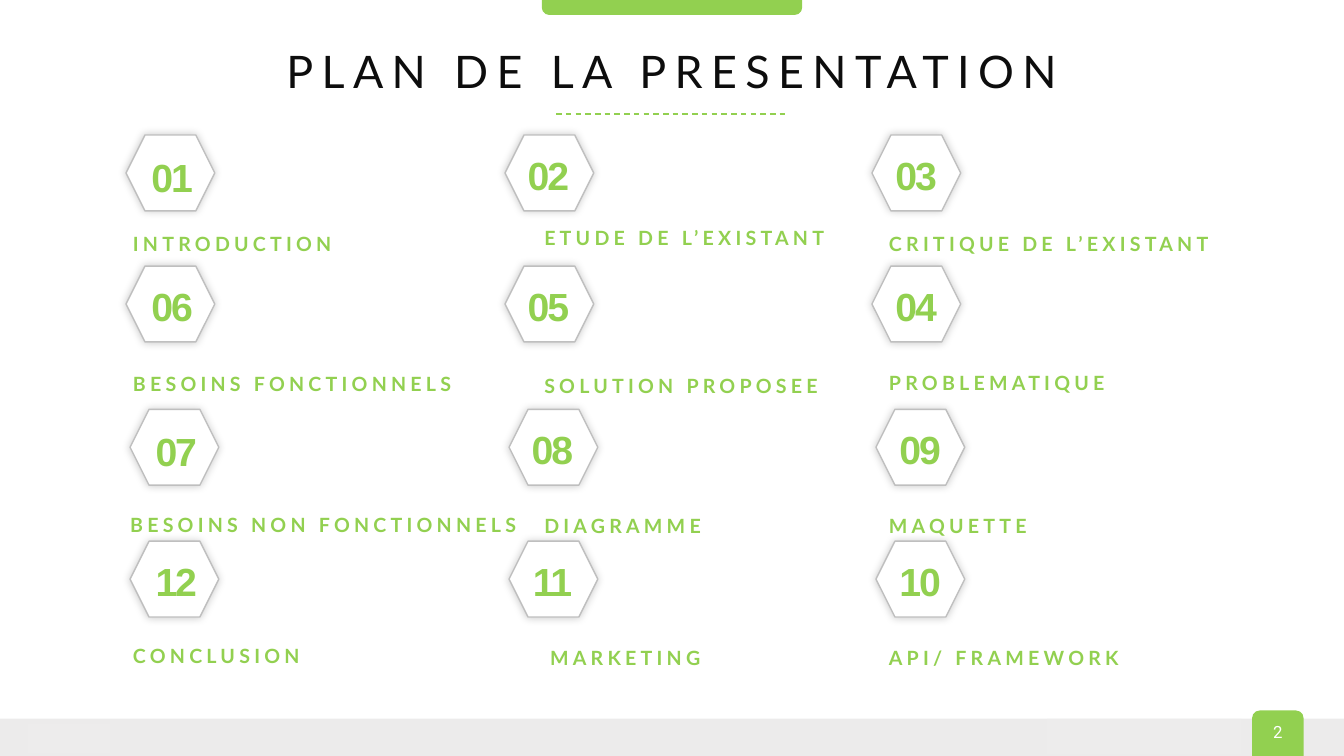
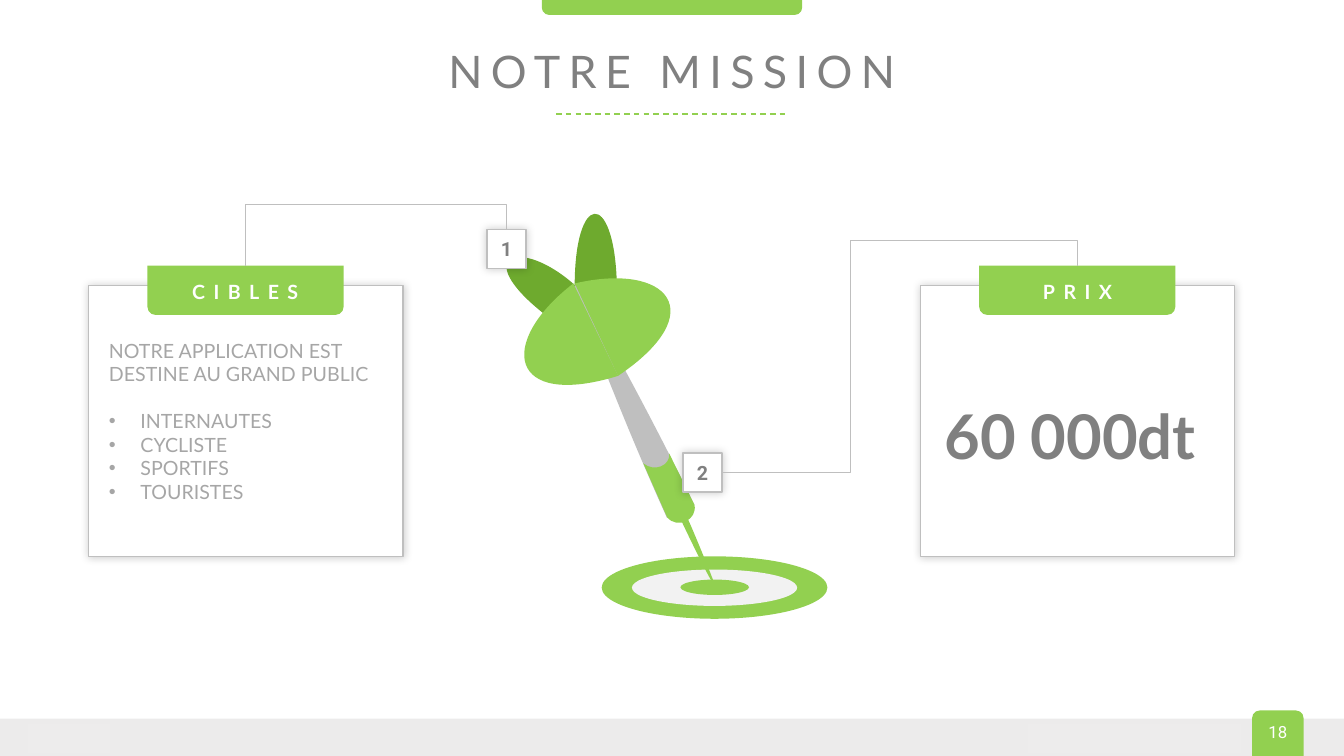
"""Build the plan slide and the mission slide."""
from math import cos, radians, sin

from lxml import etree
from pptx import Presentation
from pptx.dml.color import RGBColor
from pptx.enum.dml import MSO_LINE
from pptx.enum.shapes import MSO_CONNECTOR, MSO_SHAPE
from pptx.enum.text import MSO_ANCHOR, PP_ALIGN
from pptx.oxml.ns import qn
from pptx.util import Pt

GREEN = RGBColor(0x92, 0xD0, 0x50)
LEAF = RGBColor(0x6E, 0xAA, 0x2E)
WHITE = RGBColor(0xFF, 0xFF, 0xFF)
INK = RGBColor(0x0D, 0x0D, 0x0D)
GRAY = RGBColor(0x80, 0x80, 0x80)
SOFT = RGBColor(0xA6, 0xA6, 0xA6)
EDGE = RGBColor(0xBF, 0xBF, 0xBF)
PALE = RGBColor(0xF2, 0xF2, 0xF2)
BAND = RGBColor(0xE7, 0xE6, 0xE6)
PATCH = RGBColor(0xED, 0xEC, 0xEC)

RECT = MSO_SHAPE.RECTANGLE
OVAL = MSO_SHAPE.OVAL
HEX = MSO_SHAPE.HEXAGON
TAB = MSO_SHAPE.ROUND_2_SAME_RECTANGLE
ELBOW = MSO_CONNECTOR.ELBOW
LINE = MSO_CONNECTOR.STRAIGHT
DASH = MSO_LINE.DASH
MIDDLE = MSO_ANCHOR.MIDDLE
TOP = MSO_ANCHOR.TOP
LEFT = PP_ALIGN.LEFT
CENTER = PP_ALIGN.CENTER

TILT = 62.1
ROWS = (96.5, 190.1, 292.4, 386.6)
COLS = ((90, 5), (360.7, 3), (622.8, 3.6))
PLAN = (
    (("01", "INTRODUCTION", 95, 170.2, 145), ("02", "ETUDE DE L’EXISTANT", 388.8, 170, 213),
     ("03", "CRITIQUE DE L’EXISTANT", 635, 169.6, 242.5)),
    (("06", "BESOINS FONCTIONNELS", 95, 269.6, 232), ("05", "SOLUTION PROPOSEE", 388.8, 271, 199.5),
     ("04", "PROBLEMATIQUE", 635, 269, 159)),
    (("07", "BESOINS NON FONCTIONNELS", 93, 370.4, 280), ("08", "DIAGRAMME", 388.8, 371.2, 116),
     ("09", "MAQUETTE", 635, 371.2, 102)),
    (("12", "CONCLUSION", 95, 464, 123), ("11", "MARKETING", 393, 465.5, 111),
     ("10", "API/ FRAMEWORK", 635, 465.5, 168.5)),
)
TARGET = ((429.8, 397.4, 161.2, 44.6, GREEN), (451.4, 406.8, 118, 26, PALE),
          (486, 414, 49, 11, GREEN))
DART = (
    (LEAF, (411, 204), ((371.5, 168.5, 335, 182, 389, 224.5), (411, 204))),
    (LEAF, (410.5, 204.5), ((410.5, 137, 438, 135.5, 440.5, 200), (410.5, 204.5))),
    (GREEN, (491, 370), ((486.5, 361.5, 483, 355, 481.5, 355.5),
                         (481, 356.5, 483, 363.5, 486.5, 371.5),
                         (489.5, 378, 507.5, 415.5, 510, 417.5),
                         (510, 417.5, 510, 417.5, 510.5, 417.5),
                         (510, 415, 494, 376, 491, 370))),
    (EDGE, (496, 360.5), ((470, 307.5, 442, 255, 412.5, 203),
                          (409, 205, 409, 205, 409, 205),
                          (430, 260.5, 452, 316, 476.5, 370), (496, 360.5))),
    (GREEN, (496, 360.5), ((478, 324, 478, 324, 478, 324),
                           (479, 332.5, 467.5, 337.5, 459.5, 331),
                           (476.5, 369.5, 476.5, 369.5, 476.5, 369.5),
                           (484, 378.5, 498.5, 371, 496, 360.5))),
    (GREEN, (441.5, 268.5), ((410.5, 202.5, 410.5, 202.5, 410.5, 202.5),
                             (477, 187, 509, 223, 441.5, 268.5))),
    (GREEN, (441.5, 268.5), ((409.5, 202.5, 409.5, 202.5, 409.5, 202.5),
                             (354.5, 245, 363.5, 292.5, 441.5, 268.5))),
)
GOALS = ("INTERNAUTES", "CYCLISTE", "SPORTIFS", "TOURISTES")


def paint(shape, fill, edge=None):
    """Set fill and line, with no shadow."""
    shape.shadow.inherit = False
    shape.fill.solid()
    shape.fill.fore_color.rgb = fill
    if edge is None:
        shape.line.fill.background()
    else:
        shape.line.color.rgb = edge
        shape.line.width = Pt(1)
    return shape


def block(slide, kind, x, y, w, h, fill, edge=None):
    """Add a filled preset shape."""
    shape = slide.shapes.add_shape(kind, Pt(x), Pt(y), Pt(w), Pt(h))
    return paint(shape, fill, edge)


def card(slide, kind, x, y, w, h):
    """Add a white shape with a gray edge and a soft glow."""
    shape = block(slide, kind, x, y, w, h, WHITE, EDGE)
    effect = shape.element.spPr.find(qn("a:effectLst"))
    glow = etree.SubElement(effect, qn("a:outerShdw"), blurRad=str(Pt(6)),
                            dist="0", dir="18900000", rotWithShape="0")
    alpha(etree.SubElement(glow, qn("a:srgbClr"), val="000000"), 20)
    return shape


def alpha(color, part):
    """Make a colour partly clear."""
    etree.SubElement(color, qn("a:alpha"), val=str(part * 1000))


def style(para, font, size, color, bold=False, gap=0, align=CENTER):
    """Format a paragraph and its runs."""
    para.alignment = align
    for run in para.runs:
        run.font.name = font
        run.font.size = Pt(size)
        run.font.bold = bold
        run.font.color.rgb = color
        if gap:
            run._r.get_or_add_rPr().set("spc", str(int(gap * 100)))


def write(shape, text, *look, anchor=MIDDLE, wrap=True, space=1, **more):
    """Put formatted text with no margins in a shape."""
    frame = shape.text_frame
    frame.margin_left = frame.margin_right = 0
    frame.margin_top = frame.margin_bottom = 0
    frame.word_wrap = wrap
    frame.vertical_anchor = anchor
    frame.text = text
    para = frame.paragraphs[0]
    if space != 1:
        para.line_spacing = space
    style(para, *look, **more)
    return frame


def label(slide, x, y, w, h, text, *look, **more):
    """Add a text box."""
    box = slide.shapes.add_textbox(Pt(x), Pt(y), Pt(w), Pt(h))
    return write(box, text, *look, **more)


def stroke(line, color, width):
    """Format a connector and drop its shadow."""
    line.line.color.rgb = color
    line.line.width = Pt(width)
    etree.SubElement(line.element.spPr, qn("a:effectLst"))


def start(deck, title, color, page, patch):
    """Add a slide with title, bands and page mark."""
    slide = deck.slides.add_slide(deck.slide_layouts[5])
    band = block(slide, RECT, 0, 513.4, 960, 26.6, BAND)
    alpha(band.element.spPr.find(qn("a:solidFill"))[0], 77)
    block(slide, RECT, 20, 517, 59, 21, PATCH)
    block(slide, RECT, *patch, PATCH)
    block(slide, TAB, 894.4, 507.5, 36.8, 32.5, GREEN)
    label(slide, 895, 508.5, 35.5, 29, page, "Roboto", 12, WHITE)
    strip = block(slide, TAB, 387, 0, 186, 10.7, GREEN)
    strip.adjustments[0], strip.adjustments[1] = 0, 0.5
    rule = slide.shapes.add_connector(LINE, Pt(397.2), Pt(81.4), Pt(562.2), Pt(81.4))
    stroke(rule, GREEN, 1)
    rule.line.dash_style = DASH
    head = slide.shapes.title
    head.left, head.top, head.width, head.height = Pt(139), Pt(28.5), Pt(682), Pt(44.5)
    write(head, title, "Lato", 32, color, gap=6)
    return slide


def spin(spot, angle):
    """Turn a point about the corner of the slide."""
    (x, y), a = spot, radians(angle)
    return x * cos(a) - y * sin(a), x * sin(a) + y * cos(a)


def trace(slide, color, first, segs):
    """Add a tilted closed outline of lines and curves."""
    spots = [first]
    for seg in segs:
        spots += zip(seg[::2], seg[1::2])
    flat = [spin(spot, -TILT) for spot in spots]
    pen = slide.shapes.build_freeform(Pt(flat[0][0]), Pt(flat[0][1]))
    pen.add_line_segments([(Pt(x), Pt(y)) for x, y in flat[1:]], close=True)
    shape = paint(pen.convert_to_shape(), color)
    steps = iter(list(shape.element.iter(qn("a:lnTo"))))
    for seg in segs:
        step = next(steps)
        if len(seg) == 6:
            step.tag = qn("a:cubicBezTo")
            for _ in range(2):
                more = next(steps)
                step.append(more[0])
                more.getparent().remove(more)
    mid = [(min(axis) + max(axis)) / 2 for axis in zip(*flat)]
    x, y = spin(mid, TILT)
    shape.left = Pt(x) - shape.width // 2
    shape.top = Pt(y) - shape.height // 2
    shape.rotation = TILT


def panel(slide, x, title, inset, width):
    """Add a card with a green tag and return the tag."""
    card(slide, RECT, x, 203.8, 224.6, 193.6)
    tag = block(slide, TAB, x + 42, 189.8, 140.2, 35.2, GREEN)
    tag.adjustments[0], tag.adjustments[1] = 0, 0.17
    label(slide, x + inset, 199.5, width, 17, title, "Lato", 14, WHITE, True,
          gap=6, wrap=False)
    return tag


def mark(slide, x, y, text):
    """Add a small numbered square."""
    box = card(slide, RECT, x, y, 28, 28)
    write(box, text, "Roboto", 14, GRAY, True)
    return box


def link(slide, box, side, tag, kind, frame, turn, flip, bends):
    """Join a numbered square to the top of a tag."""
    line = slide.shapes.add_connector(ELBOW, 0, 0, Pt(1), Pt(1))
    line.begin_connect(box, side)
    line.end_connect(tag, 0)
    line.left, line.top, line.width, line.height = map(Pt, frame)
    line.rotation = turn
    form = line.element.spPr.find(qn("a:xfrm"))
    form.set("flipH", flip[0])
    form.set("flipV", flip[1])
    geom = line.element.spPr.find(qn("a:prstGeom"))
    geom.set("prst", kind)
    guides = geom.find(qn("a:avLst"))
    if guides is None:
        guides = etree.SubElement(geom, qn("a:avLst"))
    for name, bend in bends.items():
        etree.SubElement(guides, qn("a:gd"), name=name, fmla=f"val {bend}")
    stroke(line, EDGE, 0.5)


def bullet(frame, text, space):
    """Add a bulleted paragraph."""
    para = frame.add_paragraph()
    para.text = text
    para.space_before = Pt(space)
    props = para._p.get_or_add_pPr()
    props.set("marL", str(Pt(22.5)))
    props.set("indent", str(-Pt(22.5)))
    etree.SubElement(props, qn("a:buFont"), typeface="Arial")
    etree.SubElement(props, qn("a:buChar"), char="•")
    style(para, "Lato", 14, SOFT, align=LEFT)


def plan(deck):
    """Build the numbered plan."""
    slide = start(deck, "PLAN DE LA PRESENTATION", INK, "2", (748, 513.5, 139, 25))
    for row, (y, items) in enumerate(zip(ROWS, PLAN)):
        shift = 2.9 if row > 1 else 0
        for col, ((x, inset), item) in enumerate(zip(COLS, items)):
            number, name, left, mid, width = item
            drop = 8.5 if row % 2 else 8 if col else 9.5
            card(slide, HEX, x + shift, y, 63.4, 54.2)
            label(slide, x + shift + inset, y + drop, 56, 40, number,
                  "Arial", 28, GREEN, True, gap=-1.5)
            space = 1 if number == "02" else 1.5
            label(slide, left, mid - 8.5 * space, width, 17 * space, name, "Lato", 14,
                  GREEN, True, gap=3, align=LEFT, wrap=False, space=space)


def mission(deck):
    """Build the dart with its two panels."""
    slide = start(deck, "NOTRE MISSION", GRAY, "18", (734, 517, 153, 21))
    for x, y, w, h, color in TARGET:
        block(slide, OVAL, x, y, w, h, color)
    for part in DART:
        trace(slide, *part)
    goal = panel(slide, 63.3, "CIBLES", 67.7, 88.5)
    frame = label(slide, 77.8, 242, 208, 118,
                  "NOTRE APPLICATION EST DESTINE AU GRAND PUBLIC",
                  "Lato", 14, SOFT, anchor=TOP, align=LEFT)
    for pos, text in enumerate(GOALS):
        bullet(frame, text, 0 if pos else 16.5)
    price = panel(slide, 657.4, "PRIX", 83.5, 57.6)
    label(slide, 674.6, 257.8, 195, 80, "60 000dt", "Lato", 44, GRAY, True,
          anchor=TOP, align=LEFT, space=1.5)
    one = mark(slide, 347.8, 163.8, "1")
    link(slide, one, 0, goal, "bentConnector3", (255.6, 83.6, 26, 186.4), 270, "11",
         {"adj1": -69800})
    two = mark(slide, 487.8, 323.6, "2")
    link(slide, two, 3, price, "bentConnector4", (515.8, 189.8, 253.7, 147.8), 0, "01",
         {"adj1": 36200, "adj2": 112200})


def main():
    """Build and save the deck."""
    deck = Presentation()
    deck.slide_width, deck.slide_height = Pt(960), Pt(540)
    plan(deck)
    mission(deck)
    deck.save("out.pptx")


if __name__ == "__main__":
    main()
